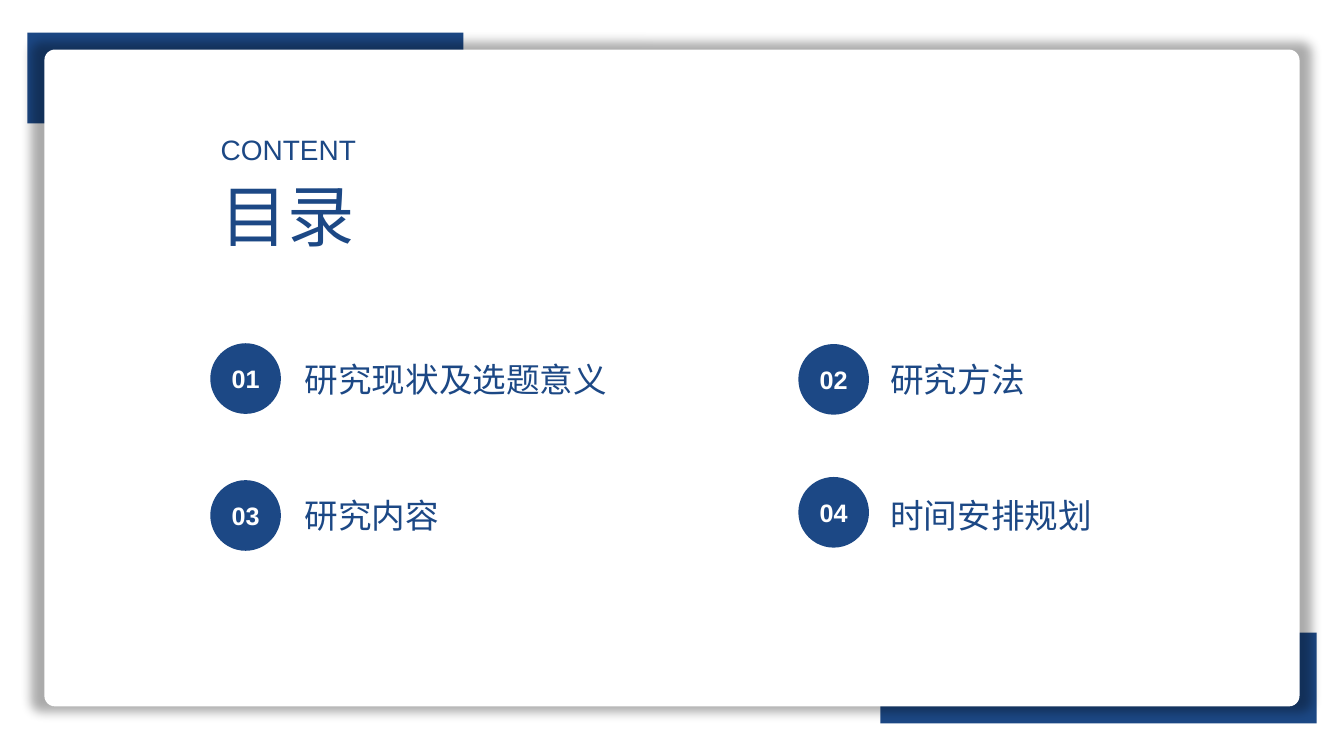
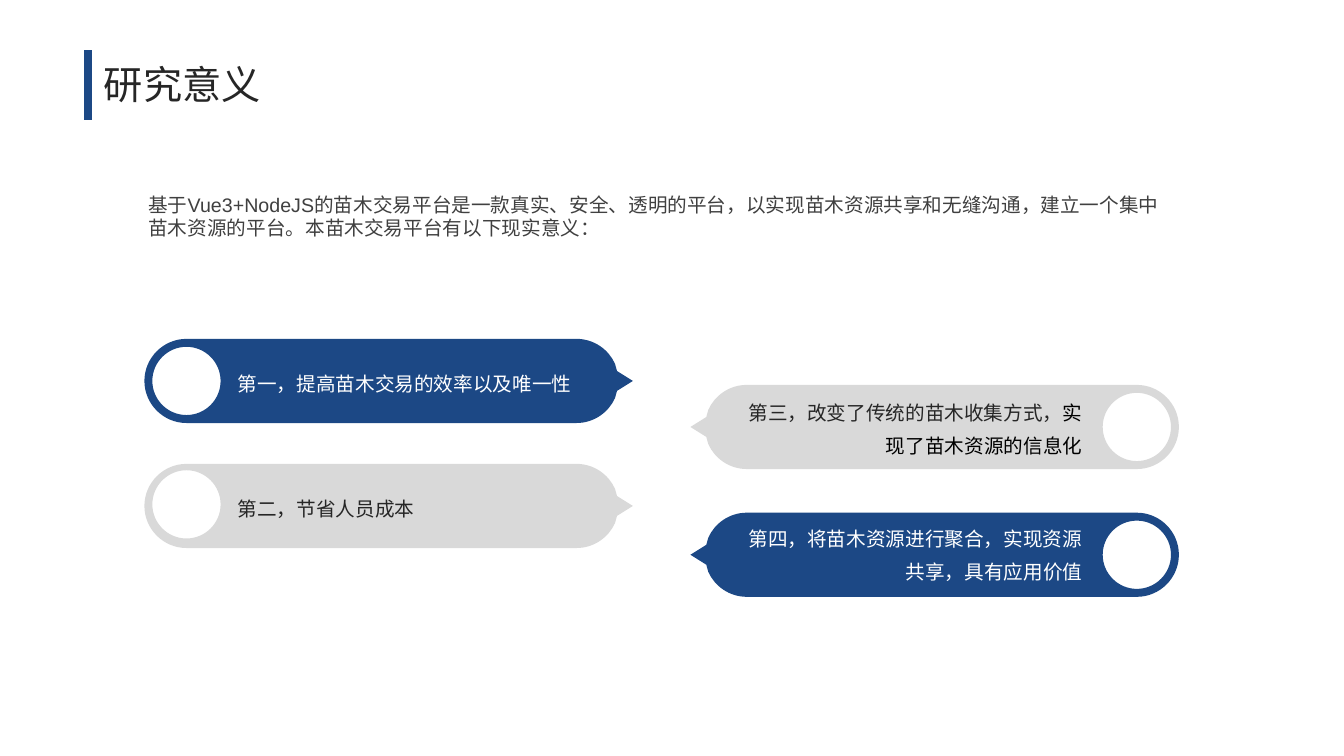
from dataclasses import dataclass

from lxml import etree
from pptx import Presentation
from pptx.dml.color import RGBColor
from pptx.enum.lang import MSO_LANGUAGE_ID
from pptx.enum.shapes import MSO_CONNECTOR, MSO_SHAPE
from pptx.enum.text import MSO_ANCHOR, PP_ALIGN
from pptx.oxml.ns import qn
from pptx.util import Cm, Pt

RECT = MSO_SHAPE.RECTANGLE
ROUND = MSO_SHAPE.ROUNDED_RECTANGLE
OVAL = MSO_SHAPE.OVAL
LINE = MSO_CONNECTOR.STRAIGHT
LEFT = PP_ALIGN.LEFT
RIGHT = PP_ALIGN.RIGHT
CENTER = PP_ALIGN.CENTER
MIDDLE = MSO_ANCHOR.MIDDLE
CHINESE = MSO_LANGUAGE_ID.SIMPLIFIED_CHINESE


@dataclass(frozen=True)
class Theme:
    font: str = "Arial"
    blue: str = "1C4885"
    gray: str = "D9D9D9"
    white: str = "FFFFFF"
    black: str = "000000"
    dark: str = "262626"
    body: str = "404040"
    huge: int = 48
    title: int = 28
    label: int = 24
    head: int = 20
    badge: int = 18
    text: int = 14


THEME = Theme()
WIDE, HIGH = 33.87, 19.05
PILL_END, PILL_SPAN, PILL_TIP, PILL_HOLE = 1.06, 9.83, 11.25, 0.86
BEND = 0.55


def style(run, size, color, bold=False):
    font = run.font
    font.size = Pt(size)
    font.bold = bold
    font.name = THEME.font
    font.language_id = CHINESE
    font.color.rgb = RGBColor.from_string(color)
    east = etree.SubElement(run._r.get_or_add_rPr(), qn("a:ea"))
    east.set("typeface", THEME.font)


def paint(shape, color):
    shape.shadow.inherit = False
    shape.fill.solid()
    shape.fill.fore_color.rgb = RGBColor.from_string(color)
    shape.line.fill.background()


def block(slide, kind, box, color):
    shape = slide.shapes.add_shape(kind, *map(Cm, box))
    paint(shape, color)
    return shape


def write(slide, box, text, size, color, align=LEFT, space=None):
    frame = slide.shapes.add_textbox(*map(Cm, box)).text_frame
    frame.word_wrap = True
    frame.text = text
    para = frame.paragraphs[0]
    para.alignment = align
    if space:
        para.line_spacing = space
    style(para.runs[0], size, color)
    return para


def badge(slide, x, y, text):
    disc = block(slide, OVAL, (x, y, 1.78, 1.78), THEME.blue)
    frame = disc.text_frame
    frame.margin_left = frame.margin_right = 0
    frame.vertical_anchor = MIDDLE
    frame.text = text
    para = frame.paragraphs[0]
    para.alignment = CENTER
    style(para.runs[0], THEME.badge, THEME.white, True)


def card(slide):
    x, y = 1.12, 1.25
    shape = block(slide, ROUND, (x, y, WIDE - 2 * x, HIGH - 2 * y), THEME.white)
    shape.adjustments[0] = 0.016
    effect = shape._element.spPr.find(qn("a:effectLst"))
    glow = etree.SubElement(effect, qn("a:outerShdw"), blurRad=str(Pt(8)),
                            sx="102000", sy="102000", algn="ctr", rotWithShape="0")
    tint = etree.SubElement(glow, qn("a:srgbClr"), val=THEME.black)
    etree.SubElement(tint, qn("a:alpha"), val="32000")


def turn(start, end, size):
    (x, y), (u, v) = start, end
    bend = BEND * size
    out = (x + bend * u / size, y + bend * v / size)
    back = (u + bend * x / size, v + bend * y / size)
    return [out, back, end]


def ring(size):
    top, left, base, right = (0, -size), (-size, 0), (0, size), (size, 0)
    return [turn(a, b, size) for a, b in
            ((base, left), (left, top), (top, right), (right, base))]


def bend(shape, steps):
    lines = list(shape._element.iter(qn("a:lnTo")))
    for step in steps:
        group, lines = lines[:len(step)], lines[len(step):]
        if len(group) == 3:
            curve = etree.Element(qn("a:cubicBezTo"))
            group[0].addprevious(curve)
            for line in group:
                curve.append(line[0])
                line.getparent().remove(line)


def pill(slide, x, y, way, color, shift):
    end, span = PILL_END, PILL_SPAN
    edge = ring(end)[:2] + [
        [(span, -end)],
        [(10.27, -end), (10.64, -0.79), (10.8, -0.43)],
        [(10.85, -0.25)], [(PILL_TIP, 0)], [(10.85, 0.25)], [(10.8, 0.43)],
        [(10.64, 0.79), (10.27, end), (span, end)],
    ]
    hole = [[(u, v + shift) for u, v in step] for step in ring(PILL_HOLE)]

    def place(point):
        return Cm(x + way * point[0]), Cm(y + point[1])

    path = slide.shapes.build_freeform(*place((0, end)))
    path.add_line_segments([place(p) for step in edge for p in step])
    path.move_to(*place((0, PILL_HOLE + shift)))
    path.add_line_segments([place(p) for step in hole for p in step])
    shape = path.convert_to_shape()
    bend(shape, edge + [[(0, end)]] + hole if count(shape) > total(edge + hole)
         else edge + hole)
    paint(shape, color)


def count(shape):
    return len(list(shape._element.iter(qn("a:lnTo"))))


def total(steps):
    return sum(map(len, steps))


def heading(slide, text):
    write(slide, (2.37, 1.27, 7.9, 1.75), text, THEME.title, THEME.dark, space=1.1)
    bar = slide.shapes.add_connector(LINE, Cm(2.22), Cm(1.27), Cm(2.22), Cm(3.02))
    bar.line.width = Pt(6)
    bar.line.color.rgb = RGBColor.from_string(THEME.blue)
    etree.SubElement(bar._element.spPr, qn("a:effectLst"))


def contents(slide):
    x, y, wide, high = 0.69, 0.82, 10.99, 2.29
    block(slide, RECT, (WIDE - x - wide, HIGH - y - high, wide, high), THEME.blue)
    block(slide, RECT, (x, y, wide, high), THEME.blue)
    card(slide)
    write(slide, (5.31, 4.27, 6.45, 2.31), "目录", THEME.huge, THEME.blue)
    write(slide, (5.31, 3.21, 6.45, 1.12), "CONTENT", THEME.head, THEME.blue)
    items = [
        (5.3, 8.65, 7.43, 8.92, "研究现状及选题意义"),
        (20.12, 8.67, 22.19, 8.92, "研究方法"),
        (5.3, 12.1, 7.43, 12.34, "研究内容"),
        (20.12, 12.02, 22.19, 12.34, "时间安排规划"),
    ]
    for num, (left, top, start, base, text) in enumerate(items, 1):
        badge(slide, left, top, f"{num:02}")
        write(slide, (start, base, 8.46, 1.28), text, THEME.label, THEME.blue)


def meaning(slide):
    heading(slide, "研究意义")
    items = [
        (1, 9.6, 8.54, 0, THEME.blue, THEME.white,
         "第一，提高苗木交易的效率以及唯一性", ""),
        (1, 12.75, 11.69, -0.04, THEME.gray, THEME.dark, "第二，节省人员成本", ""),
        (-1, 10.76, 9.75, 0, THEME.gray, THEME.dark,
         "第三，改变了传统的苗木收集方式，", "实现了苗木资源的信息化"),
        (-1, 13.98, 12.92, 0, THEME.blue, THEME.white,
         "第四，将苗木资源进行聚合，实现资源共享，具有应用价值", ""),
    ]
    sides = {1: (4.7, 5.74, 9.4, LEFT, 2.2), -1: (28.65, 18.36, 9.17, RIGHT, 1.4)}
    for way, y, top, shift, fill, ink, text, more in items:
        x, left, wide, align, space = sides[way]
        pill(slide, x, y, way, fill, shift)
        box = (left, top, wide, 2 * PILL_END)
        para = write(slide, box, text, THEME.text, ink, align, space)
        if more:
            run = para.add_run()
            run.text = more
            style(run, THEME.text, THEME.black)
    write(slide, (3.49, 4.73, 26.24, 1.45),
          "基于Vue3+NodeJS的苗木交易平台是一款真实、安全、透明的平台，"
          "以实现苗木资源共享和无缝沟通，建立一个集中苗木资源的平台。"
          "本苗木交易平台有以下现实意义：", THEME.text, THEME.body)


def main():
    deck = Presentation()
    deck.slide_width, deck.slide_height = Cm(WIDE), Cm(HIGH)
    for build in (contents, meaning):
        build(deck.slides.add_slide(deck.slide_layouts[6]))
    deck.save("out.pptx")


if __name__ == "__main__":
    main()
